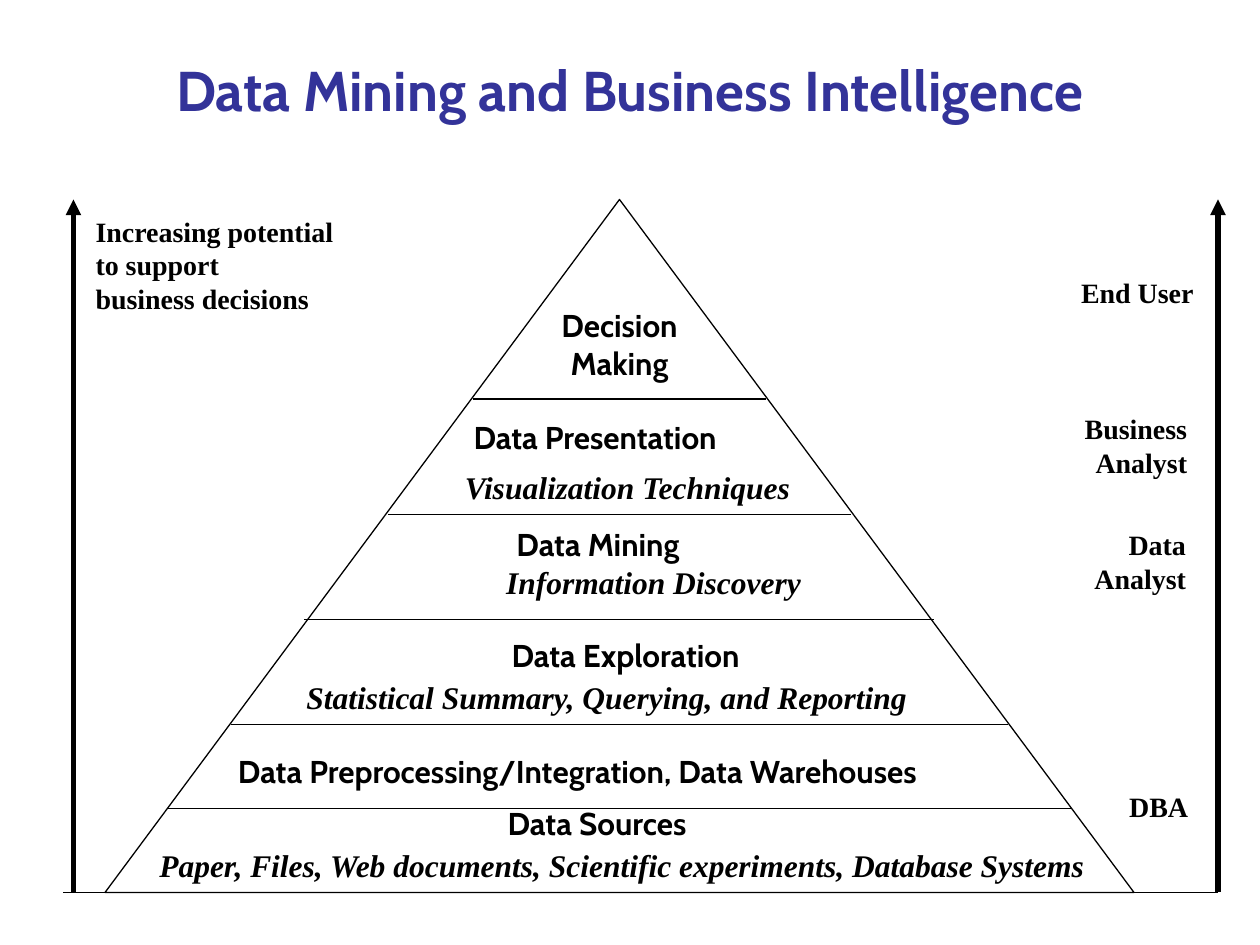
from dataclasses import dataclass

from lxml import etree
from pptx import Presentation
from pptx.dml.color import RGBColor
from pptx.enum import shapes, text
from pptx.oxml.ns import qn
from pptx.util import Pt

LEFT, CENTER, RIGHT = (text.PP_ALIGN.LEFT, text.PP_ALIGN.CENTER,
                       text.PP_ALIGN.RIGHT)


@dataclass(frozen=True)
class Theme:
    ink: RGBColor = RGBColor(0x00, 0x00, 0x00)
    title: RGBColor = RGBColor(0x33, 0x33, 0x99)
    sans: str = "Cabin"
    serif: str = "Times New Roman"
    title_size: int = 32
    level_size: int = 18
    note_size: int = 16
    thin: float = 0.75
    thick: float = 3


THEME = Theme()

# Shared positions, in points
TOP, BASE = 114, 510
LEFT_AXIS, RIGHT_AXIS = 42, 696

# Dividers between levels: left end, right end, height
DIVIDERS = [(96, 612, 462), (132, 576, 414), (174, 534, 354),
            (222, 486, 294), (270, 438, 228)]

# Level names: box, text, alignment, wrap
LEVELS = [
    ((306, 171.4, 96, 50.4), "Decision Making", CENTER, True),
    ((263.5, 235.4, 178.6, 28.8), "Data Presentation", LEFT, False),
    ((288, 296.6, 140.4, 28.8), "Data Mining", LEFT, False),
    ((265, 360, 185, 28.8), "Data Exploration", CENTER, False),
    ((128.9, 426.2, 468, 28.8),
     "Data Preprocessing/Integration, Data Warehouses", LEFT, False),
    ((283, 455.8, 131.8, 28.8), "Data Sources", LEFT, False),
]

# What each level holds: box, text
DETAILS = [
    ((258.5, 264.2, 203, 28.8), "Visualization Techniques"),
    ((282.2, 318.2, 182.9, 28.8), "Information Discovery"),
    ((168, 384, 360, 28.8), "Statistical Summary, Querying, and Reporting"),
    ((84, 480, 560.9, 28.8),
     "Paper, Files, Web documents, Scientific experiments, Database Systems"),
]

# Notes along the axes: box, lines, alignment
NOTES = [
    ((47.5, 118.8, 150.5, 64.8),
     ["Increasing potential", "to support", "business decisions"], LEFT),
    ((610.6, 154.1, 78.5, 26.6), ["End User"], RIGHT),
    ((610.6, 231.8, 74.9, 46.1), ["Business", "Analyst"], RIGHT),
    ((617.8, 298.1, 67, 46.1), ["Data", "Analyst"], RIGHT),
    ((637.9, 447.8, 48.2, 26.6), ["DBA"], RIGHT),
]


def add_text(slide, box, lines, font, size, align=LEFT, color=THEME.ink,
             italic=False, wrap=False):
    sp = slide.shapes.add_textbox(*map(Pt, box))
    tf = sp.text_frame
    tf.word_wrap = wrap
    tf.auto_size = text.MSO_AUTO_SIZE.SHAPE_TO_FIT_TEXT
    for i, line in enumerate(lines):
        p = tf.paragraphs[0] if i == 0 else tf.add_paragraph()
        p.alignment = align
        r = p.add_run()
        r.text = line
        r.font.name = font
        r.font.size = Pt(size)
        r.font.bold = True
        r.font.italic = italic
        r.font.color.rgb = color
    return sp


def add_line(slide, start, end, width, arrow=False):
    line = slide.shapes.add_connector(shapes.MSO_CONNECTOR.STRAIGHT,
                                      *map(Pt, start + end))
    line.line.color.rgb = THEME.ink
    line.line.width = Pt(width)
    if arrow:
        ln = line.line._get_or_add_ln()
        etree.SubElement(ln, qn("a:tailEnd"), type="triangle")
    etree.SubElement(line._element.spPr, qn("a:effectLst"))


def add_pyramid(slide):
    sp = slide.shapes.add_shape(shapes.MSO_SHAPE.FLOWCHART_EXTRACT, Pt(60),
                                Pt(TOP), Pt(588), Pt(BASE - TOP))
    sp.shadow.inherit = False
    sp.fill.background()
    sp.line.color.rgb = THEME.ink
    sp.line.width = Pt(THEME.thin)


def main():
    prs = Presentation()
    prs.slide_width, prs.slide_height = Pt(720), Pt(540)
    slide = prs.slides.add_slide(prs.slide_layouts[6])

    # Title
    title = add_text(slide, (18, 30, 684, 42),
                     ["Data Mining and Business Intelligence"], THEME.sans,
                     THEME.title_size, CENTER, THEME.title, wrap=True)
    title.text_frame.auto_size = text.MSO_AUTO_SIZE.NONE
    title.text_frame.vertical_anchor = text.MSO_ANCHOR.MIDDLE

    # Pyramid and its dividers
    add_pyramid(slide)
    for left, right, y in DIVIDERS:
        add_line(slide, (left, y), (right, y), THEME.thin)

    # Axes and baseline
    for x in (LEFT_AXIS, RIGHT_AXIS):
        add_line(slide, (x, BASE), (x, TOP), THEME.thick, arrow=True)
    add_line(slide, (36, BASE), (RIGHT_AXIS, BASE), THEME.thin)

    # Labels
    for box, lines, align in NOTES:
        add_text(slide, box, lines, THEME.serif, THEME.note_size, align)
    for box, name, align, wrap in LEVELS:
        add_text(slide, box, [name], THEME.sans, THEME.level_size, align,
                 wrap=wrap)
    for box, detail in DETAILS:
        add_text(slide, box, [detail], THEME.serif, THEME.level_size,
                 italic=True)

    prs.save("out.pptx")


if __name__ == "__main__":
    main()
